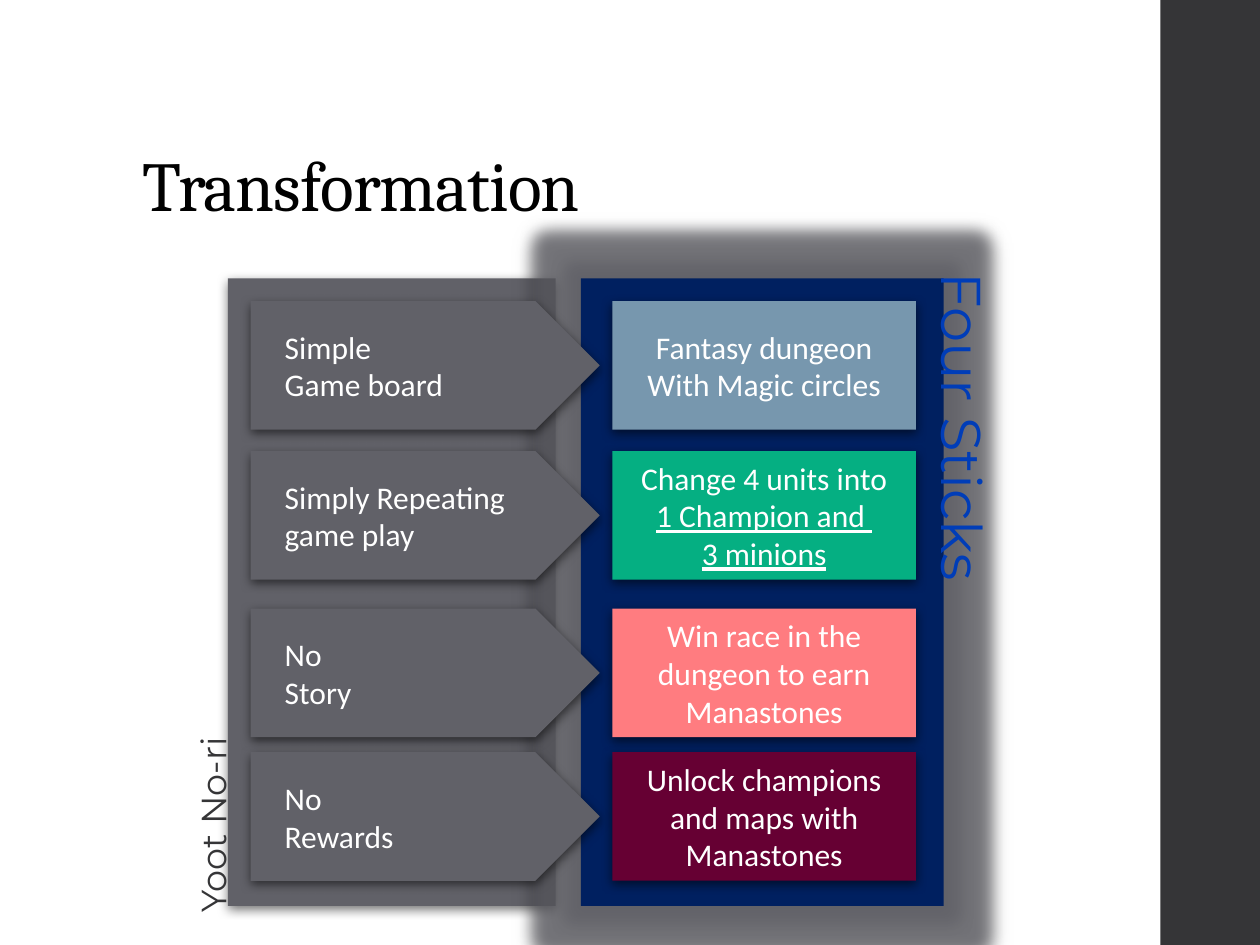
from dataclasses import dataclass

from lxml import etree
from pptx import Presentation
from pptx import util as u
from pptx.dml.color import RGBColor
from pptx.enum import shapes, text
from pptx.oxml.ns import qn


@dataclass(frozen=True)
class Theme:
    """Colours, fonts and type sizes of the slide."""
    ink: str = "000000"
    white: str = "FFFFFF"
    sidebar: str = "353537"
    before: str = "616168"
    after: str = "002060"
    accent: str = "003DB8"
    heading: str = "Cambria"
    body: str = "Calibri"
    label: str = "Montserrat"
    title_size: int = 40
    body_size: int = 18
    before_size: int = 20
    after_size: int = 32


THEME = Theme()
RECT = shapes.MSO_SHAPE.RECTANGLE
PENTAGON = shapes.MSO_SHAPE.PENTAGON
ALIGN = text.PP_ALIGN
CARD_HEIGHT = 1.02

# top, lines before, lines after (text, underlined), card colour
CHANGES = [
    (2.39, ["Simple", "Game board"],
     [("Fantasy dungeon", False), ("With Magic circles", False)], "7797AE"),
    (3.58, ["Simply Repeating", "game play"],
     [("Change 4 units into", False), ("1 Champion and ", True),
      ("3 minions", True)], "05AF82"),
    (4.83, ["No", "Story"],
     [("Win race in the dungeon to earn Manastones", False)], "FF7C80"),
    (5.97, ["No", "Rewards"],
     [("Unlock champions and maps with Manastones", False)], "660033"),
]


def inches(box):
    """Turn left, top, width, height into lengths."""
    return [u.Inches(value) for value in box]


def add_effect(shape, tag, color, alpha, **settings):
    """Append one coloured effect to the shape's effect list."""
    effects = shape._element.spPr.find(qn("a:effectLst"))
    effect = etree.SubElement(effects, qn(tag), {k: str(v) for k, v in settings.items()})
    tint = etree.SubElement(effect, qn("a:srgbClr"), val=color)
    etree.SubElement(tint, qn("a:alpha"), val=str(alpha * 1000))


def add_block(slide, kind, box, color, shadow=True, glow=False):
    """Add a filled shape without outline, with optional glow and shadow."""
    block = slide.shapes.add_shape(kind, *inches(box))
    block.fill.solid()
    block.fill.fore_color.rgb = RGBColor.from_string(color)
    block.line.fill.background()
    block.shadow.inherit = False
    if glow:
        add_effect(block, "a:glow", THEME.before, 70, rad=u.Pt(18))
    if shadow:
        add_effect(block, "a:outerShdw", THEME.ink, 55, blurRad=u.Pt(6),
                   dist=u.Pt(2), dir=90 * 60000, algn="ctr", rotWithShape=0)
    return block


def write(frame, lines, font, size, color, align=ALIGN.LEFT, **frame_format):
    """Write (text, underlined) lines, one paragraph each."""
    for name, value in frame_format.items():
        setattr(frame, name, value)
    for index, (words, underlined) in enumerate(lines):
        paragraph = frame.paragraphs[0] if index == 0 else frame.add_paragraph()
        paragraph.alignment = align
        run = paragraph.add_run()
        run.text = words
        run_format = {"name": font, "size": u.Pt(size), "underline": underlined or None}
        for name, value in run_format.items():
            setattr(run.font, name, value)
        run.font.color.rgb = RGBColor.from_string(color)


def place_title(slide, box, words):
    """Move and format the title placeholder."""
    title = slide.shapes.title
    title.left, title.top, title.width, title.height = inches(box)
    write(title.text_frame, [(words, False)], THEME.heading, THEME.title_size,
          THEME.ink, vertical_anchor=text.MSO_ANCHOR.BOTTOM, word_wrap=True)
    paragraph = title.text_frame.paragraphs[0]
    paragraph.line_spacing = 0.9
    paragraph.runs[0].font._element.set("spc", "-50")


def place_change(slide, box, before, after, color):
    """Place an arrow with the old feature and a card with the new one."""
    left, top, width, height = box
    arrow_width, card_width = 2.77, 2.41
    arrow = add_block(slide, PENTAGON, (left, top, arrow_width, height), THEME.before)
    card = add_block(slide, RECT, (left + width - card_width, top, card_width, height), color)
    common = {"vertical_anchor": text.MSO_ANCHOR.MIDDLE, "word_wrap": True}
    write(arrow.text_frame, [(line, False) for line in before], THEME.body,
          THEME.body_size, THEME.white, margin_left=u.Inches(0.27), **common)
    write(card.text_frame, after, THEME.body, THEME.body_size, THEME.white,
          ALIGN.CENTER, **common)


def place_label(slide, box, words, rotation, size, color):
    """Place a rotated column name."""
    label = slide.shapes.add_textbox(*inches(box))
    label.rotation = rotation
    write(label.text_frame, [(words, False)], THEME.label, size, color,
          word_wrap=False, auto_size=text.MSO_AUTO_SIZE.SHAPE_TO_FIT_TEXT)


def place_comparison(slide, box):
    """Place both panels, the rows of changes and the column names."""
    left, top, width, height = box
    before_width, after_width = 2.6, 2.88
    add_block(slide, RECT, (left, top, before_width, height), THEME.before)
    add_block(slide, RECT, (left + width - after_width, top, after_width, height),
              THEME.after, glow=True)
    for row_top, before, after, color in CHANGES:
        place_change(slide, (left + 0.18, row_top, 5.28, CARD_HEIGHT), before, after, color)
    place_label(slide, (left + 4.35, top + 1.02, 2.97, 0.64), "Four Sticks", 90,
                THEME.after_size, THEME.accent)
    place_label(slide, (left - 0.98, top + 4.05, 1.72, 0.44), "Yoot No-ri", 270,
                THEME.before_size, THEME.sidebar)


def build():
    """Build and save the slide."""
    deck = Presentation()
    deck.slide_width, deck.slide_height = u.Inches(10), u.Inches(7.5)
    slide = deck.slides.add_slide(deck.slide_layouts[5])
    add_block(slide, RECT, (9.21, 0, 0.79, 7.5), THEME.sidebar, shadow=False)
    place_title(slide, (1.03, 0.4, 7.95, 1.45), "Transformation")
    place_comparison(slide, (1.81, 2.21, 5.68, 4.98))
    deck.save("out.pptx")


build()
